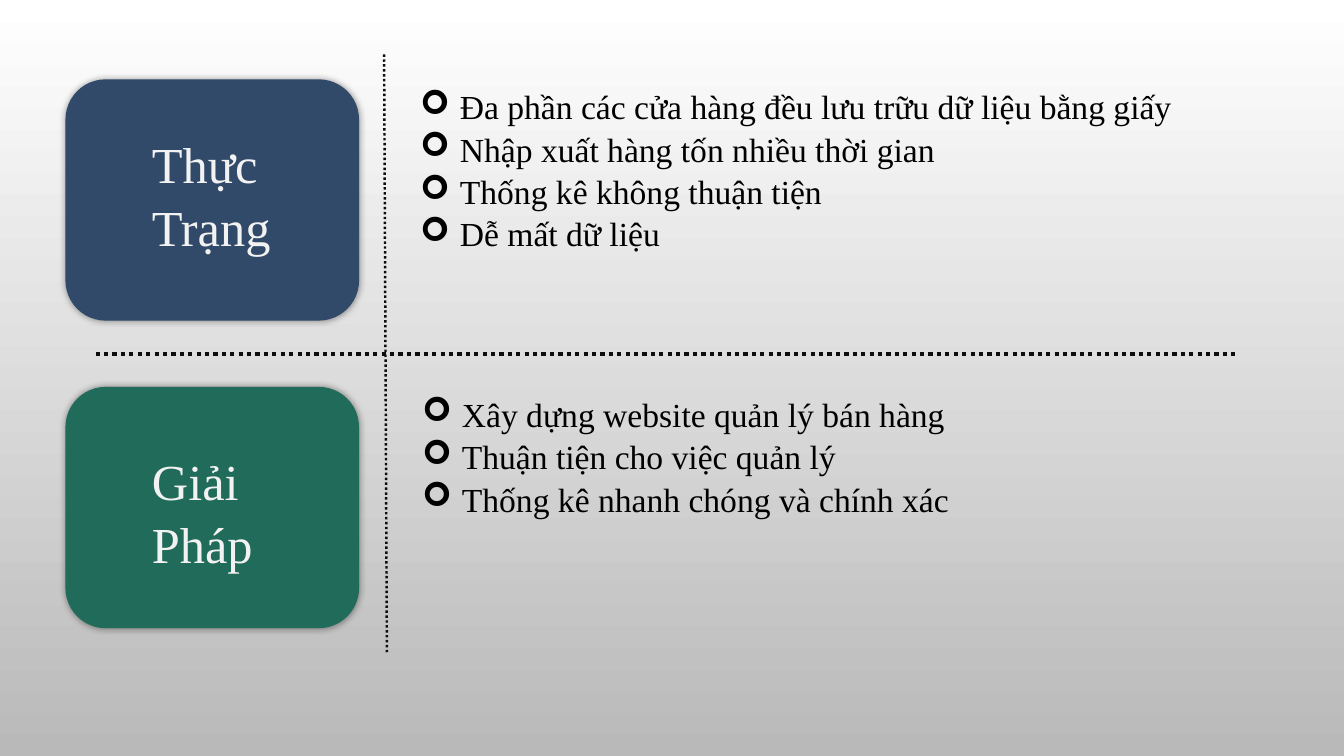
from lxml import etree
from pptx import Presentation
from pptx.dml.color import RGBColor
from pptx.enum.dml import MSO_LINE as Dash
from pptx.enum.shapes import MSO_CONNECTOR as Link, MSO_SHAPE as Shape
from pptx.oxml.ns import qn
from pptx.util import Cm, Pt

FONT = "Times New Roman"
PANELS = [
    (2.0, "314A69", 1.15, ["Thực", "Trạng"], 10.34,
     ["Đa phần các cửa hàng đều lưu trữu dữ liệu bằng giấy",
      "Nhập xuất hàng tốn nhiều thời gian",
      "Thống kê không thuận tiện",
      "Dễ mất dữ liệu"]),
    (9.75, "206B5A", 1.38, ["Giải", "Pháp"], 10.39,
     ["Xây dựng website quản lý bán hàng",
      "Thuận tiện cho việc quản lý",
      "Thống kê nhanh chóng và chính xác"]),
]


def paint(code):
    """Turn a hex string into a colour."""
    return RGBColor.from_string(code)


def node(up, tag, **attrs):
    """Append a drawing element with attributes."""
    kid = etree.SubElement(up, qn(tag))
    for key, val in attrs.items():
        kid.set(key, str(val))
    return kid


def ground(slide):
    """Fill the background with a vertical gradient."""
    fill = slide.background.fill
    fill.gradient()
    fill.gradient_angle = 270
    for stop, code, pos in zip(fill.gradient_stops, ("FFFFFF", "B9B9B9"), (0, 1)):
        stop.color.rgb = paint(code)
        stop.position = pos


def rule(slide, ends, width):
    """Draw a dotted divider."""
    line = slide.shapes.add_connector(Link.STRAIGHT, *map(Cm, ends))
    line.line.color.rgb = paint("0D0D0D")
    line.line.width = Pt(width)
    line.line.dash_style = Dash.ROUND_DOT
    node(line._element.spPr, "a:effectLst")


def card(slide, left, top, wide, high, code):
    """Draw a rounded card with a soft shadow."""
    box = slide.shapes.add_shape(Shape.ROUNDED_RECTANGLE, *map(Cm, (left, top, wide, high)))
    box.fill.solid()
    box.fill.fore_color.rgb = paint(code)
    box.line.fill.background()
    box.shadow.inherit = False
    glow = node(box._element.spPr.find(qn("a:effectLst")), "a:outerShdw",
                blurRad=Pt(5), dist=0, dir=0, algn="ctr", rotWithShape=0)
    node(node(glow, "a:srgbClr", val="000000"), "a:alpha", val=40000)


def text(slide, left, top, wide, high, lines, size, code, mark=None):
    """Place lines of text, bulleted when a mark is given."""
    box = slide.shapes.add_textbox(*map(Cm, (left, top, wide, high)))
    frame = box.text_frame
    frame.word_wrap = bool(mark)
    for i, line in enumerate(lines):
        para = frame.paragraphs[0] if i == 0 else frame.add_paragraph()
        para.line_spacing = 1.05
        run = para.add_run()
        run.text = line
        run.font.name = FONT
        run.font.size = Pt(size)
        run.font.color.rgb = paint(code)
        if mark:
            props = para._p.get_or_add_pPr()
            props.set("marL", str(Cm(1)))
            props.set("indent", str(-Cm(1)))
            node(props, "a:buFont", typeface="Wingdings")
            node(props, "a:buChar", char=mark)


def panel(slide, left, top, code, drop, label, start, points):
    """Build one row: a labelled card and its points."""
    card(slide, left, top, 7.4, 6.08, code)
    text(slide, left + 1.93, top + drop, 3.5, 3.33, label, 36, "F2F2F2")
    text(slide, start, top, 21.97, 0.25 + 1.03 * len(points), points, 24, "000000", "➢")


def main():
    """Build and save the slide."""
    deck = Presentation()
    deck.slide_width, deck.slide_height = Cm(33.87), Cm(19.05)
    slide = deck.slides.add_slide(deck.slide_layouts[6])
    ground(slide)
    rule(slide, (2.41, 8.92, 31.19, 8.92), 3)
    rule(slide, (9.68, 1.37, 9.75, 16.46), 1.75)
    for top, code, drop, label, start, points in PANELS:
        panel(slide, 1.65, top, code, drop, label, start, points)
    deck.save("out.pptx")


if __name__ == "__main__":
    main()
